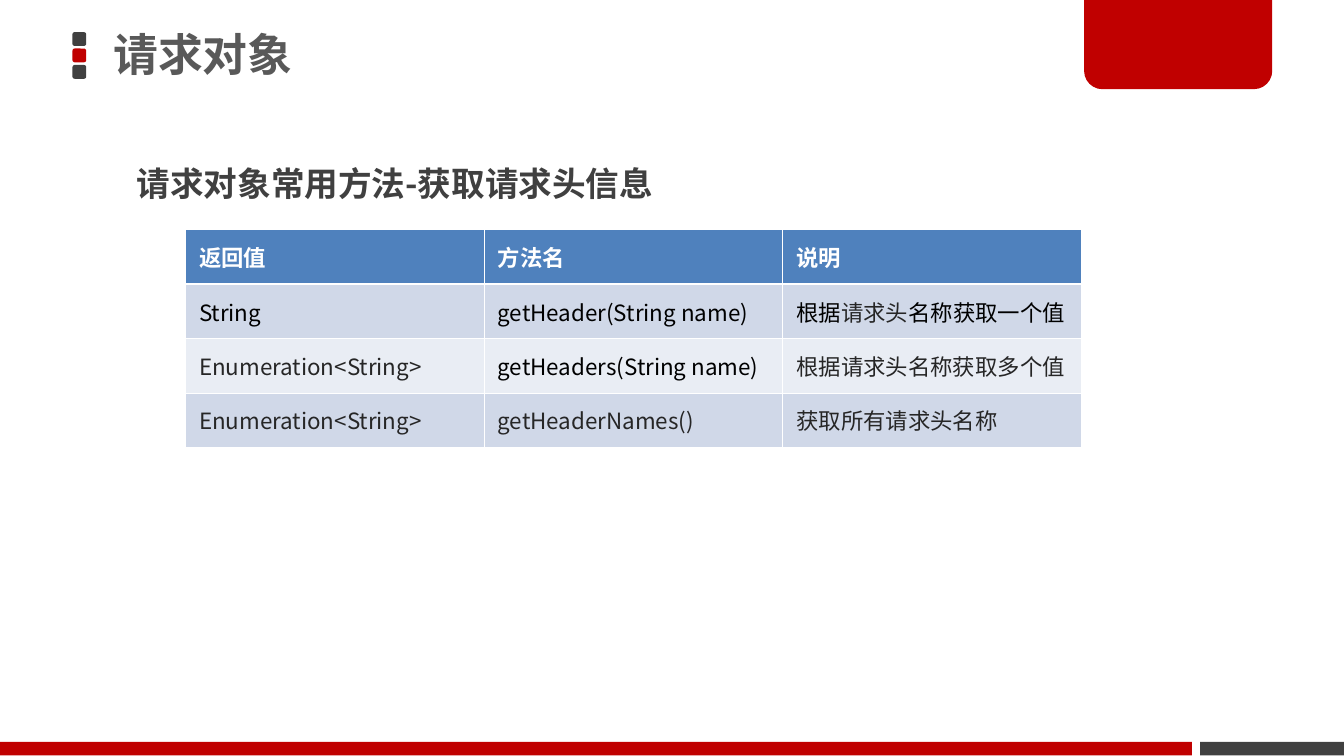
"""Builds a slide on the request object's methods for reading headers."""
from lxml import etree
from pptx import Presentation
from pptx.dml.color import RGBColor
from pptx.enum.shapes import MSO_SHAPE
from pptx.enum.text import MSO_ANCHOR, MSO_AUTO_SIZE
from pptx.oxml.ns import qn
from pptx.util import Pt

RECTANGLE = MSO_SHAPE.RECTANGLE
ROUNDED = MSO_SHAPE.ROUNDED_RECTANGLE
ROUND_TWO = MSO_SHAPE.ROUND_2_SAME_RECTANGLE
MIDDLE = MSO_ANCHOR.MIDDLE
GROW = MSO_AUTO_SIZE.SHAPE_TO_FIT_TEXT

RED = RGBColor(0xC0, 0x00, 0x00)
DARK = RGBColor(0x40, 0x40, 0x40)
GREY = RGBColor(0x59, 0x59, 0x59)
INK = RGBColor(0x26, 0x26, 0x26)
BLACK = RGBColor(0x00, 0x00, 0x00)
WHITE = RGBColor(0xFF, 0xFF, 0xFF)
HEADER_BLUE = RGBColor(0x4F, 0x81, 0xBD)
BAND_DARK = RGBColor(0xD0, 0xD8, 0xE8)
BAND_LIGHT = RGBColor(0xE9, 0xED, 0xF4)

THIN, THICK = 0.45, 1.47
HEADINGS = ["返回值", "方法名", "说明"]
METHODS = [
    [[("String", BLACK)], [("getHeader(String name)", BLACK)],
     [("根据", BLACK), ("请求头", INK), ("名称获取一个值", BLACK)]],
    [[("Enumeration<String>", INK)], [("getHeaders(String name)", BLACK)],
     [("根据请求头名称获取多个值", INK)]],
    [[("Enumeration<String>", INK)], [("getHeaderNames()", INK)],
     [("获取所有请求头名称", INK)]],
]


class SlideBuilder:
    """Holds the typeface and the slide, and draws each kind of element."""

    typeface = "Noto Sans CJK SC"

    def __init__(self, slide):
        self.slide = slide

    def style_run(self, run, size, color, bold):
        font = run.font
        font.name, font.size, font.bold = self.typeface, Pt(size), bold
        font.color.rgb = color
        east_asian = etree.Element(qn("a:ea"), typeface=self.typeface)
        font._element.find(qn("a:latin")).addnext(east_asian)

    def block(self, kind, left, top, width, height, color, adjustments=()):
        block = self.slide.shapes.add_shape(
            kind, Pt(left), Pt(top), Pt(width), Pt(height))
        for index, value in enumerate(adjustments):
            block.adjustments[index] = value
        block.shadow.inherit = False
        block.fill.solid()
        block.fill.fore_color.rgb = color
        block.line.fill.background()

    def heading(self, text, left, top, width, height, size, color, spacing):
        box = self.slide.shapes.add_textbox(
            Pt(left), Pt(top), Pt(width), Pt(height))
        frame = box.text_frame
        frame.word_wrap = True
        frame.text = text
        paragraph = frame.paragraphs[0]
        paragraph.line_spacing = spacing
        self.style_run(paragraph.runs[0], size, color, True)
        return frame

    def cell_borders(self, cell, top, bottom):
        properties = cell._tc.get_or_add_tcPr()
        sides = {"L": THIN, "R": THIN, "T": top, "B": bottom}
        for index, (side, width) in enumerate(sides.items()):
            line = etree.Element(qn(f"a:ln{side}"), w=str(int(Pt(width))))
            fill = etree.SubElement(line, qn("a:solidFill"))
            etree.SubElement(fill, qn("a:srgbClr"), val=str(WHITE))
            properties.insert(index, line)

    def table(self, rows, left, top, column_width, row_height):
        columns = len(rows[0])
        table = self.slide.shapes.add_table(
            len(rows), columns, Pt(left), Pt(top),
            Pt(column_width * columns), Pt(row_height * len(rows))).table
        for column in table.columns:
            column.width = Pt(column_width)
        for row_index, row in enumerate(rows):
            is_header = row_index == 0
            band = BAND_DARK if row_index % 2 else BAND_LIGHT
            for column_index, pieces in enumerate(row):
                cell = table.cell(row_index, column_index)
                cell.vertical_anchor = MIDDLE
                cell.fill.solid()
                cell.fill.fore_color.rgb = HEADER_BLUE if is_header else band
                self.cell_borders(cell, THICK if row_index == 1 else THIN,
                                  THICK if is_header else THIN)
                for text, color in pieces:
                    run = cell.text_frame.paragraphs[0].add_run()
                    run.text = text
                    self.style_run(run, 12, color, is_header)


def main():
    presentation = Presentation()
    presentation.slide_width, presentation.slide_height = Pt(720), Pt(405)
    builder = SlideBuilder(
        presentation.slides.add_slide(presentation.slide_layouts[6]))

    for index, color in enumerate([DARK, RED, DARK]):
        builder.block(ROUNDED, 38.8, 17.2 + 8.8 * index, 7.4, 7.4, color,
                      [0.167])
    builder.block(RECTANGLE, 643, 397.5, 77, 7.2, DARK)
    builder.block(ROUND_TWO, 580.8, -1.4, 100.8, 49.2, RED, [0, 0.2])
    builder.block(RECTANGLE, 0, 397.5, 638.6, 7.2, RED)

    title = builder.heading("请求对象", 49.7, -1.4, 424, 64, 24, GREY, 0.9)
    title.vertical_anchor = MIDDLE
    title.margin_left = Pt(11)
    subtitle = builder.heading("请求对象常用方法-获取请求头信息",
                               66.2, 72.7, 305.3, 39.6, 18, DARK, 1.5)
    subtitle.auto_size = GROW

    header = [[(text, WHITE)] for text in HEADINGS]
    builder.table([header] + METHODS, 99.4, 123.1, 160, 29.15)
    presentation.save("out.pptx")


if __name__ == "__main__":
    main()
